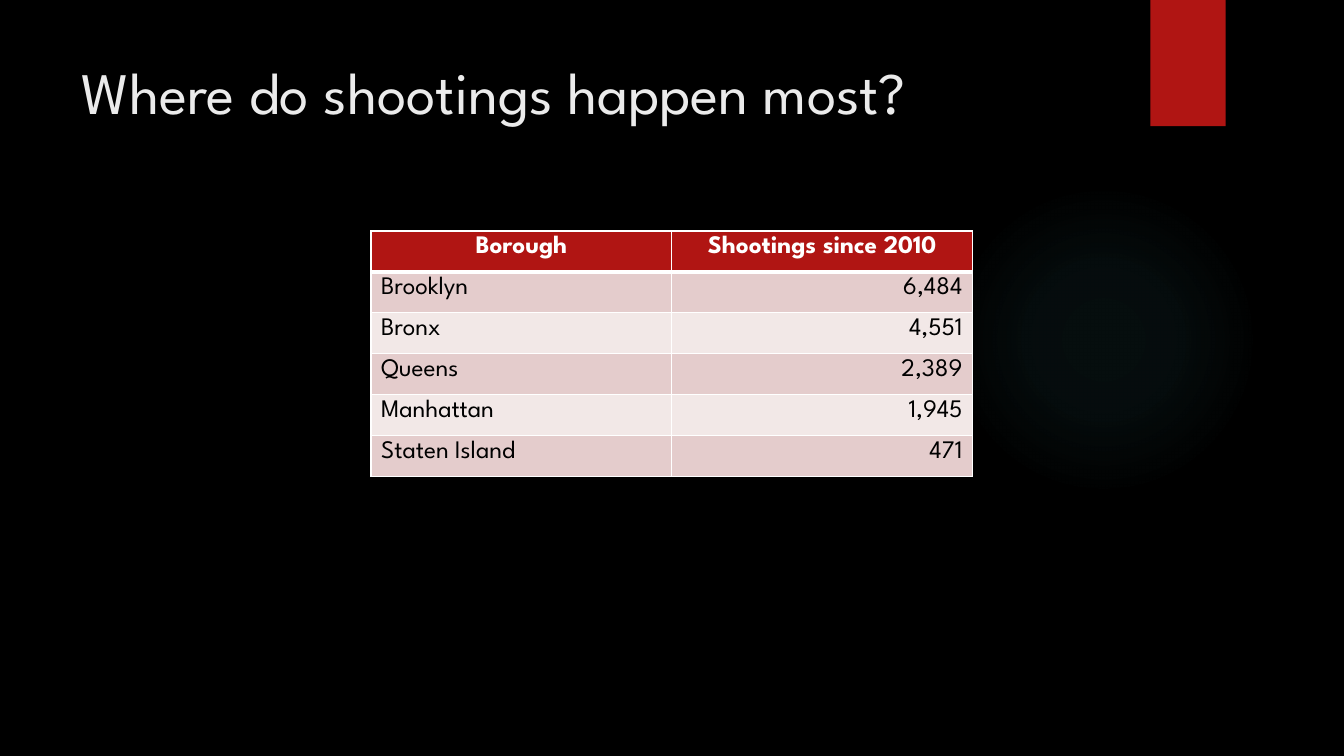
"""Build a dark slide with a table of shootings by New York borough."""
from lxml.etree import SubElement
from pptx import Presentation
from pptx.dml.color import RGBColor
from pptx.enum.shapes import MSO_SHAPE
from pptx.enum.text import MSO_ANCHOR, PP_ALIGN
from pptx.oxml import parse_xml
from pptx.oxml.ns import nsdecls, qn
from pptx.util import Cm, Pt

TITLE = "Where do shootings happen most?"
ROWS = [
    ("Borough", "Shootings since 2010"),
    ("Brooklyn", "6,484"),
    ("Bronx", "4,551"),
    ("Queens", "2,389"),
    ("Manhattan", "1,945"),
    ("Staten Island", "471"),
]
GLOW_STOPS = [(0, 7), (36, 6), (69, 0)]

FONT = "League Spartan"
BLACK = RGBColor(0x00, 0x00, 0x00)
WHITE = RGBColor(0xFF, 0xFF, 0xFF)
PALE_GREY = RGBColor(0xEB, 0xEB, 0xEB)
RED = RGBColor(0xB0, 0x15, 0x13)
TEAL = RGBColor(0x50, 0xB9, 0xC1)
BANDS = (RGBColor(0xF2, 0xE8, 0xE7), RGBColor(0xE4, 0xCC, 0xCC))

COLUMN_WIDTH = Cm(7.58)
ROW_HEIGHT = Cm(1.03)


def add_block(page, kind, left, top, width, height, color):
    block = page.shapes.add_shape(kind, left, top, width, height)
    block.shadow.inherit = False
    block.fill.solid()
    block.fill.fore_color.rgb = color
    block.line.fill.background()
    return block


def make_glow(block, color):
    stops = "".join(
        f'<a:gs pos="{position * 1000}"><a:srgbClr val="{color}">'
        f'<a:alpha val="{opacity * 1000}"/></a:srgbClr></a:gs>'
        for position, opacity in GLOW_STOPS
    )
    gradient = parse_xml(
        f'<a:gradFill {nsdecls("a")} rotWithShape="1"><a:gsLst>{stops}</a:gsLst>'
        '<a:path path="circle"><a:fillToRect l="50000" t="50000" r="50000" b="50000"/>'
        "</a:path></a:gradFill>"
    )
    properties = block.element.spPr
    properties.replace(properties.find(qn("a:solidFill")), gradient)


def style_text(para, size, color, bold=False):
    for span in para.runs:
        span.font.name = FONT
        span.font.size = Pt(size)
        span.font.bold = bold
        span.font.color.rgb = color


def add_borders(cell, widths):
    properties = cell._tc.get_or_add_tcPr()
    for index, (side, width) in enumerate(widths.items()):
        line = SubElement(properties, qn(f"a:ln{side}"), w=str(Pt(width)))
        fill = SubElement(line, qn("a:solidFill"))
        SubElement(fill, qn("a:srgbClr"), val=str(WHITE))
        properties.insert(index, line)


def fill_cell(cell, text, row, column):
    header = row == 0
    cell.fill.solid()
    cell.fill.fore_color.rgb = RED if header else BANDS[row % 2]
    cell.text_frame.text = text
    para = cell.text_frame.paragraphs[0]
    if header:
        para.alignment = PP_ALIGN.CENTER
    else:
        para.alignment = PP_ALIGN.RIGHT if column else PP_ALIGN.LEFT
    style_text(para, 18, WHITE if header else BLACK, header)
    add_borders(cell, {"L": 1, "R": 1, "T": 3 if row == 1 else 1, "B": 3 if header else 1})


def main():
    deck = Presentation()
    deck.slide_width, deck.slide_height = Cm(33.87), Cm(19.05)
    page = deck.slides.add_slide(deck.slide_layouts[6])
    page.background.fill.solid()
    page.background.fill.fore_color.rgb = BLACK

    glow = add_block(page, MSO_SHAPE.OVAL, Cm(23.9), Cm(4.65), Cm(7.82), Cm(7.82), TEAL)
    make_glow(glow, TEAL)
    add_block(page, MSO_SHAPE.RECTANGLE, Cm(28.99), Cm(0), Cm(1.9), Cm(3.18), RED)

    title = page.shapes.add_textbox(Cm(1.8), Cm(1.27), Cm(26.14), Cm(3.89))
    title.text_frame.word_wrap = True
    title.text_frame.vertical_anchor = MSO_ANCHOR.TOP
    title.text_frame.text = TITLE
    style_text(title.text_frame.paragraphs[0], 42, PALE_GREY)

    columns = len(ROWS[0])
    table = page.shapes.add_table(
        len(ROWS), columns, Cm(9.35), Cm(5.82),
        COLUMN_WIDTH * columns, ROW_HEIGHT * len(ROWS),
    ).table
    for column in table.columns:
        column.width = COLUMN_WIDTH
    for row, texts in enumerate(ROWS):
        table.rows[row].height = ROW_HEIGHT
        for column, text in enumerate(texts):
            fill_cell(table.cell(row, column), text, row, column)

    deck.save("out.pptx")


if __name__ == "__main__":
    main()
